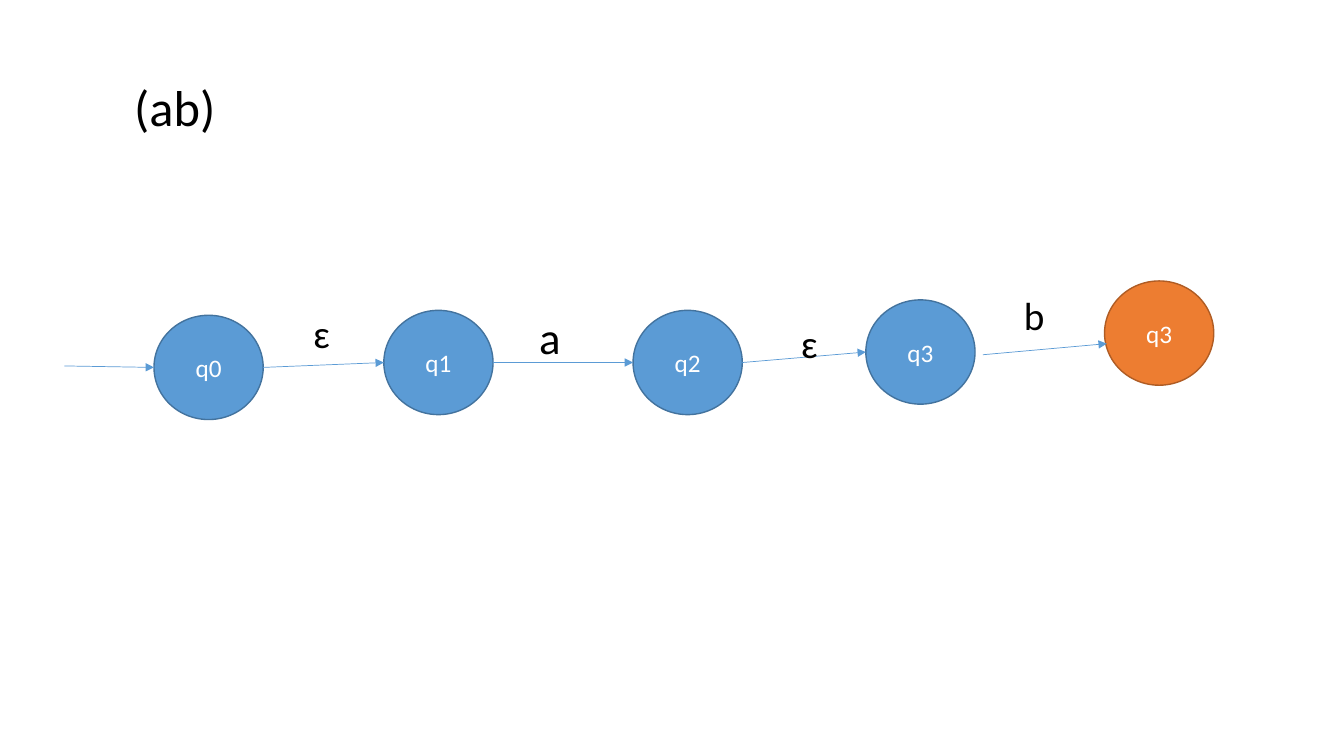
from lxml import etree
from pptx import Presentation
from pptx.dml.color import RGBColor
from pptx.enum import shapes, text
from pptx.oxml.ns import qn
from pptx.util import Pt

HUES = {"state": "5B9BD5", "rim": "43739E", "final": "ED7D31",
        "edge": "AF5C24", "ink": "000000", "paper": "FFFFFF"}
WIDE, HIGH = 78, 74.5  # size of one state

# name, left, top, fill, line
STATES = [("q0", 64, 25.2, "state", "rim"),
          ("q1", 228.2, 21.7, "state", "rim"),
          ("q2", 406.2, 21.7, "state", "rim"),
          ("q3", 572.5, 14.2, "state", "rim"),
          ("q3", 743, 0.7, "final", "edge")]
# letter, left, top, width, height, size
LABELS = [("ɛ", 170.7, 17.4, 26.6, 41, 28),
          ("a", 332, 17.4, 30.2, 46, 32),
          ("ɛ", 519.2, 24.6, 26.6, 41, 28),
          ("b", 678.3, 4.5, 29.5, 41, 28)]


def color(name):
    return RGBColor.from_string(HUES[name])


def apply(item, values):
    for key, value in values.items():
        setattr(item, key, value)


def write(shape, words, size, hue, frame, align):
    apply(shape.text_frame, {"auto_size": text.MSO_AUTO_SIZE.NONE, **frame})
    line = shape.text_frame.paragraphs[0]
    line.alignment = align
    run = line.add_run()
    run.text = words
    apply(run.font, {"name": "Calibri", "size": Pt(size), "bold": False})
    run.font.color.rgb = color(hue)


def head(slide, box, words):
    title = slide.shapes.title
    apply(title, dict(zip(("left", "top", "width", "height"), map(Pt, box))))
    frame = {"word_wrap": False, "vertical_anchor": text.MSO_ANCHOR.TOP}
    write(title, words, 36, "ink", frame, text.PP_ALIGN.LEFT)


def state(slide, x, y, name, fill, rim):
    disc = slide.shapes.add_shape(shapes.MSO_SHAPE.OVAL,
                                  Pt(x), Pt(y), Pt(WIDE), Pt(HIGH))
    disc.shadow.inherit = False
    disc.fill.solid()
    disc.fill.fore_color.rgb = color(fill)
    disc.line.color.rgb = color(rim)
    disc.line.width = Pt(1)
    frame = {"word_wrap": True, "vertical_anchor": text.MSO_ANCHOR.MIDDLE}
    write(disc, name, 18, "paper", frame, text.PP_ALIGN.CENTER)


def arrow(slide, *ends):
    link = slide.shapes.add_connector(shapes.MSO_CONNECTOR.STRAIGHT,
                                      *map(Pt, ends))
    link.line.color.rgb = color("state")
    link.line.width = Pt(0.5)
    etree.SubElement(link.line._get_or_add_ln(), qn("a:tailEnd"),
                     type="triangle")
    etree.SubElement(link._element.spPr, qn("a:effectLst"))


def label(slide, x, y, wide, high, words, size):
    box = slide.shapes.add_textbox(Pt(x), Pt(y), Pt(wide), Pt(high))
    frame = {"word_wrap": False, "vertical_anchor": text.MSO_ANCHOR.TOP}
    write(box, words, size, "ink", frame, text.PP_ALIGN.LEFT)


def chain(slide, left, top):
    """Draw the automaton with its corner at left, top."""
    for name, x, y, fill, rim in STATES:
        state(slide, left + x, top + y, name, fill, rim)
    mids = [(left + x, top + y + HIGH / 2) for _, x, y, *_ in STATES]
    arrow(slide, left, top + 61.4, *mids[0])
    for (x, y), goal in zip(mids[:3], mids[1:4]):
        arrow(slide, x + WIDE, y, *goal)
    arrow(slide, left + 656, top + 53.4, left + 744.6, top + 45.5)
    for words, x, y, wide, high, size in LABELS:
        label(slide, left + x, top + y, wide, high, words, size)


def main():
    deck = Presentation()
    deck.slide_width, deck.slide_height = Pt(960), Pt(540)
    slide = deck.slides.add_slide(deck.slide_layouts[5])
    head(slide, (88.6, 51.1, 72.7, 51.1), "(ab)")
    chain(slide, 46, 200)
    deck.save("out.pptx")


if __name__ == "__main__":
    main()
